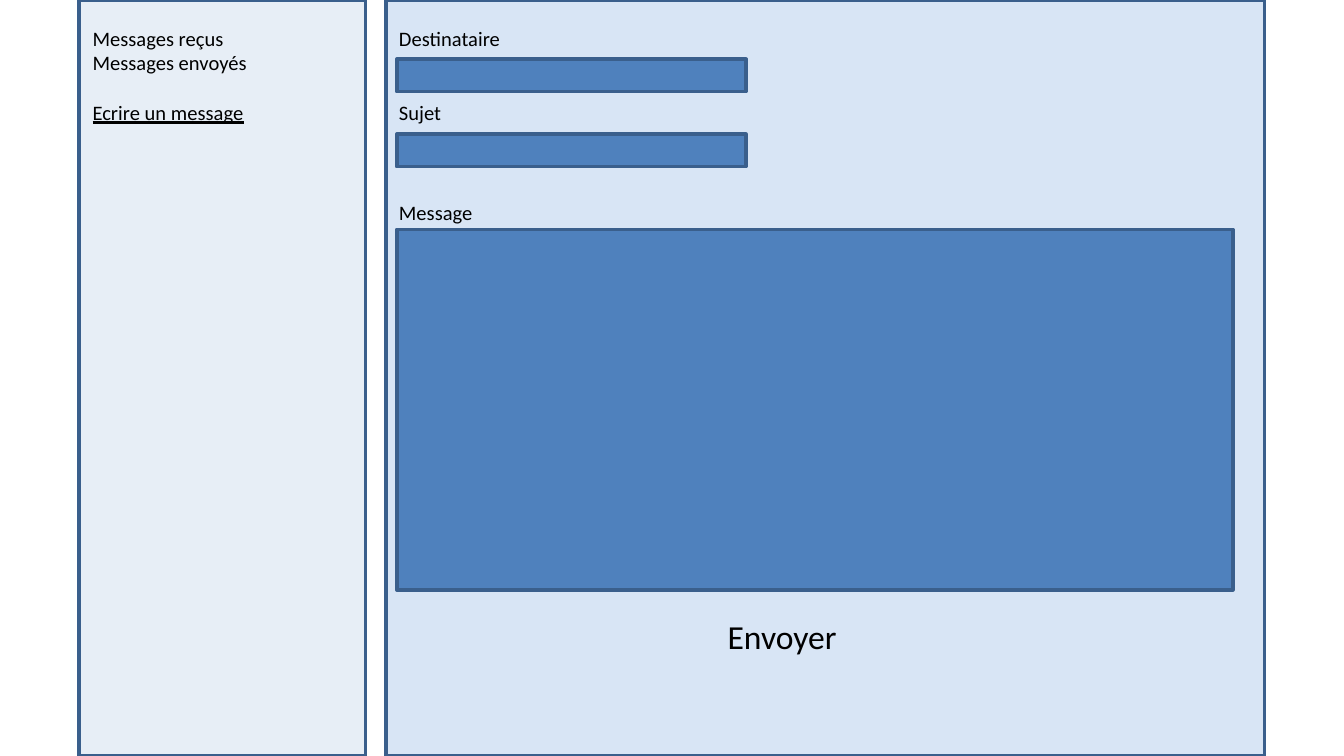
from lxml import etree
from pptx import Presentation
from pptx.dml.color import RGBColor
from pptx.enum.shapes import MSO_SHAPE
from pptx.oxml.ns import qn
from pptx.util import Cm, Pt

LINE = 13.43  # height of one 11 pt line, in points

prs = Presentation()
prs.slide_width, prs.slide_height = Cm(25.4), Cm(14.29)
s = prs.slides.add_slide(prs.slide_layouts[6])


def add_box(x, y, w, h, color, alpha=100):
    sp = s.shapes.add_shape(MSO_SHAPE.RECTANGLE, Cm(x), Cm(y), Cm(w), Cm(h))
    sp.shadow.inherit = False
    sp.fill.solid()
    sp.fill.fore_color.rgb = RGBColor.from_string(color)
    sp.line.color.rgb = RGBColor.from_string("3A5F8C")
    sp.line.width = Pt(2)
    if alpha < 100:
        clr = sp._element.spPr.find(qn("a:solidFill")).find(qn("a:srgbClr"))
        etree.SubElement(clr, qn("a:alpha")).set("val", str(alpha * 1000))


def add_text(x, y, w, h, lines, size=11):
    tf = s.shapes.add_textbox(Cm(x), Cm(y), Cm(w), Cm(h)).text_frame
    tf.word_wrap = True
    for i, (text, gap, underline) in enumerate(lines):
        p = tf.add_paragraph() if i else tf.paragraphs[0]
        p.space_before = Pt(round(gap * LINE, 1))
        r = p.add_run()
        r.text = text
        r.font.name = "Calibri"
        r.font.size = Pt(size)
        r.font.underline = underline
        r.font.color.rgb = RGBColor.from_string("000000")


# Menu panel; each line is (text, gap above in lines, underlined)
menu_x, menu_w = 1.5, 5.41
add_box(menu_x, 0, menu_w, 14.29, "DCE6F2", 68)
add_text(menu_x, 0.36, menu_w, 2.13, [
    ("Messages reçus", 0, False),
    ("Messages envoyés", 0, False),
    ("Ecrire un message", 1, True),
])

# Form panel and field labels
form_x, form_w = 7.29, 16.61
add_box(form_x, 0, form_w, 14.29, "C6D9F1", 68)
add_text(form_x, 0.36, form_w, 4.5, [
    ("Destinataire", 0, False),
    ("Sujet", 2, False),
    ("Message", 3, False),
])

# Input fields: recipient, subject, message
for y, w, h in [(1.12, 6.6, 0.61), (2.54, 6.6, 0.61), (4.34, 15.8, 6.81)]:
    add_box(7.5, y, w, h, "4F81BD")

# Send button
add_text(13.5, 11.51, 3.81, 1.02, [("Envoyer", 0, False)], 18)

prs.save("out.pptx")
